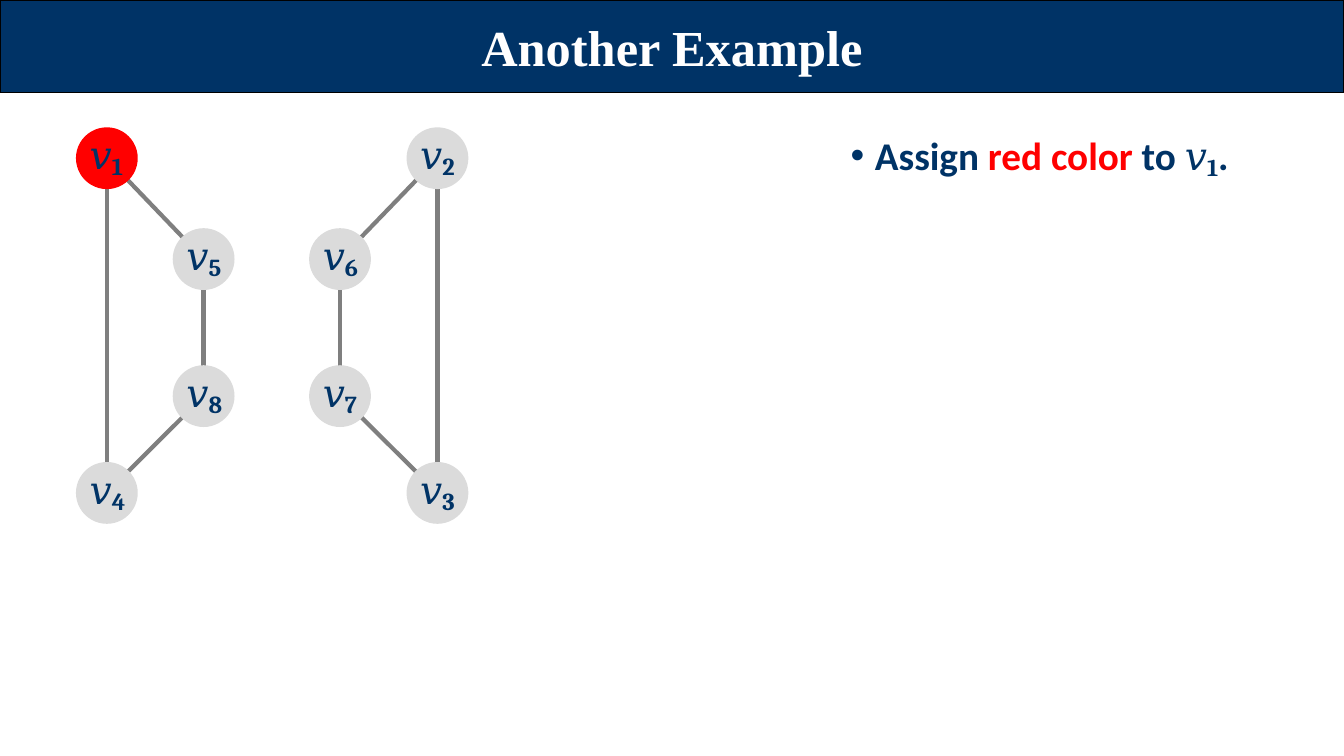
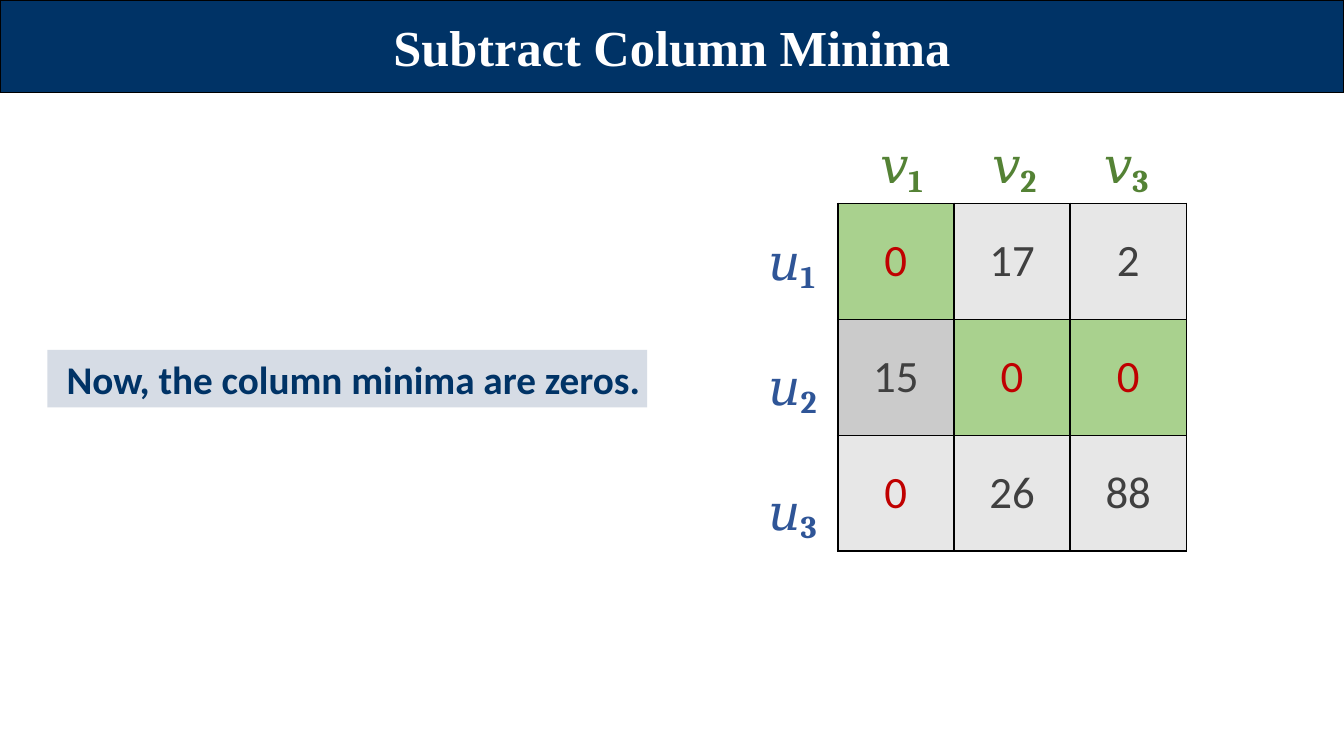
"""Build two slides: a graph colouring step and a reduced cost matrix."""
from lxml.etree import SubElement
from pptx import Presentation
from pptx.dml.color import RGBColor as RGB
from pptx.enum.shapes import MSO_CONNECTOR as CONN, MSO_SHAPE as SHAPE
from pptx.enum.text import MSO_ANCHOR as ANCHOR, MSO_AUTO_SIZE as AUTO, PP_ALIGN as ALIGN
from pptx.oxml.ns import qn
from pptx.util import Inches, Pt

NAVY = RGB(0x00, 0x33, 0x66)
BLACK = RGB(0x00, 0x00, 0x00)
WHITE = RGB(0xFF, 0xFF, 0xFF)
RED = RGB(0xFF, 0x00, 0x00)
NODE_GREY = RGB(0xDB, 0xDB, 0xDB)
EDGE_GREY = RGB(0x7F, 0x7F, 0x7F)
NOTE_FILL = RGB(0xD6, 0xDC, 0xE5)
ROW_BLUE = RGB(0x2F, 0x55, 0x97)
COL_GREEN = RGB(0x54, 0x82, 0x35)
ZERO_RED = RGB(0xC0, 0x00, 0x00)
DIGIT_GREY = RGB(0x40, 0x40, 0x40)
CELL_GREEN = RGB(0xA9, 0xD1, 0x8E)
CELL_GREY = RGB(0xE7, 0xE7, 0xE7)
CELL_DARK = RGB(0xCB, 0xCB, 0xCB)

TITLE = dict(name="Times New Roman", size=Pt(36), bold=True, color=WHITE)
BODY = dict(name="Calibri", size=Pt(28), bold=True, color=NAVY)
MATH = dict(BODY, name="Cambria")
SUB = dict(MATH, size=Pt(30), baseline="-15000")
DIGIT = dict(name="Calibri", size=Pt(32), bold=False)

prs = Presentation()
prs.slide_width, prs.slide_height = Inches(13.33), Inches(7.5)
X, Y = prs.slide_width / 100, prs.slide_height / 100


def write(tf, runs, **frame):
    """Fill a text frame with (text, format) runs and return its paragraph."""
    flat = dict.fromkeys(("margin_left", "margin_top", "margin_right", "margin_bottom"), 0)
    for key, value in {**flat, "word_wrap": True, "auto_size": AUTO.NONE, **frame}.items():
        setattr(tf, key, value)
    p = tf.paragraphs[0]
    for text, fmt in runs:
        r = p.add_run()
        r.text = text
        for key, value in fmt.items():
            if key == "color":
                r.font.color.rgb = value
            elif key == "baseline":
                r.font._element.set(key, value)
            else:
                setattr(r.font, key, value)
    return p


def place(x, y, w, h):
    """Turn shares of the slide, in percent, into lengths."""
    return int(x * X), int(y * Y), int(w * X), int(h * Y)


slides = []
for title in ("Another Example", "Subtract Column Minima"):
    s = prs.slides.add_slide(prs.slide_layouts[5])
    sp = s.shapes.title
    sp.left, sp.top, sp.width, sp.height = place(0, 0, 100, 12.3)
    sp.fill.solid()
    sp.fill.fore_color.rgb = NAVY
    sp.line.color.rgb = BLACK
    sp.line.width = Pt(0.75)
    p = write(sp.text_frame, [(title, TITLE)], vertical_anchor=ANCHOR.MIDDLE)
    p.alignment = ALIGN.CENTER
    slides.append(s)
graph, matrix = slides

COLS = (7.95, 15.15, 25.3, 32.55)
ROWS = (20.93, 34.27, 52.4, 65.2)
NODES = {"1": (0, 0), "2": (3, 0), "3": (3, 3), "4": (0, 3),
         "5": (1, 1), "6": (2, 1), "7": (2, 2), "8": (1, 2)}
EDGES = ("15", "58", "84", "41", "26", "67", "73", "32")
centres = {n: (COLS[c], ROWS[r]) for n, (c, r) in NODES.items()}

for a, b in EDGES:
    (x1, y1), (x2, y2) = centres[a], centres[b]
    line = graph.shapes.add_connector(
        CONN.STRAIGHT, int(x1 * X), int(y1 * Y), int(x2 * X), int(y2 * Y))
    line.line.color.rgb = EDGE_GREY
    line.line.width = Pt(3)
    SubElement(line._element.spPr, qn("a:effectLst"))

size = int(4.6 * X)
for n, (x, y) in centres.items():
    sp = graph.shapes.add_shape(
        SHAPE.OVAL, int(x * X) - size // 2, int(y * Y) - size // 2, size, size)
    sp.shadow.inherit = False
    sp.fill.solid()
    sp.fill.fore_color.rgb = RED if n == "1" else NODE_GREY
    sp.line.fill.background()
    sp = graph.shapes.add_textbox(*place(x - 1.28, y - 4.08, 4, 6.5))
    write(sp.text_frame, [("𝑣", MATH), (n, SUB)])

sp = graph.shapes.add_textbox(*place(63.3, 16.98, 32, 6.5))
p = write(sp.text_frame, [("Assign ", BODY), ("red color ", dict(BODY, color=RED)),
                          ("to ", BODY), ("𝑣", MATH), ("1", SUB), (".", BODY)])
pPr = p._p.get_or_add_pPr()
pPr.set("marL", str(Inches(0.24)))
pPr.set("indent", str(-Inches(0.24)))
SubElement(pPr, qn("a:buFont"), typeface="Arial")
SubElement(pPr, qn("a:buChar"), char="•")

COSTS = ((0, 17, 2), (15, 0, 0), (0, 26, 88))
FILLS = ((CELL_GREEN, CELL_GREY, CELL_GREY),
         (CELL_DARK, CELL_GREEN, CELL_GREEN),
         (CELL_GREY, CELL_GREY, CELL_GREY))
table = matrix.shapes.add_table(3, 3, *place(62.33, 26.93, 25.95, 46)).table
table.first_row = table.horz_banding = False
for i, row in enumerate(COSTS):
    for j, cost in enumerate(row):
        cell = table.cell(i, j)
        for side in ("margin_left", "margin_top", "margin_right", "margin_bottom"):
            setattr(cell, side, 0)
        cell.vertical_anchor = ANCHOR.MIDDLE
        tcPr = cell._tc.get_or_add_tcPr()
        for edge in ("a:lnL", "a:lnR", "a:lnT", "a:lnB"):
            ln = SubElement(tcPr, qn(edge), w=str(Pt(1.5)))
            SubElement(SubElement(ln, qn("a:solidFill")), qn("a:srgbClr"), val=str(BLACK))
        cell.fill.solid()
        cell.fill.fore_color.rgb = FILLS[i][j]
        p = write(cell.text_frame, [(str(cost), dict(DIGIT, color=DIGIT_GREY if cost else ZERO_RED))])
        p.alignment = ALIGN.CENTER

HEADS = (("𝑣", COL_GREEN, 65.48, 17.1, 8.33, 0), ("𝑢", ROW_BLUE, 57.15, 29.9, 0, 16.5))
for letter, color, x, y, dx, dy in HEADS:
    for i in range(3):
        sp = matrix.shapes.add_textbox(*place(x + i * dx, y + i * dy, 5, 8.4))
        write(sp.text_frame, [(letter, dict(MATH, size=Pt(36), color=color)),
                              (str(i + 1), dict(SUB, size=Pt(39), color=color))])

sp = matrix.shapes.add_shape(SHAPE.RECTANGLE, *place(3.52, 46.3, 44.63, 7.6))
sp.shadow.inherit = False
sp.fill.solid()
sp.fill.fore_color.rgb = NOTE_FILL
sp.line.fill.background()
p = write(sp.text_frame, [("Now, the column minima are zeros.", BODY)],
          margin_left=int(1.43 * X), vertical_anchor=ANCHOR.MIDDLE)
p.alignment = ALIGN.LEFT

prs.save("out.pptx")
